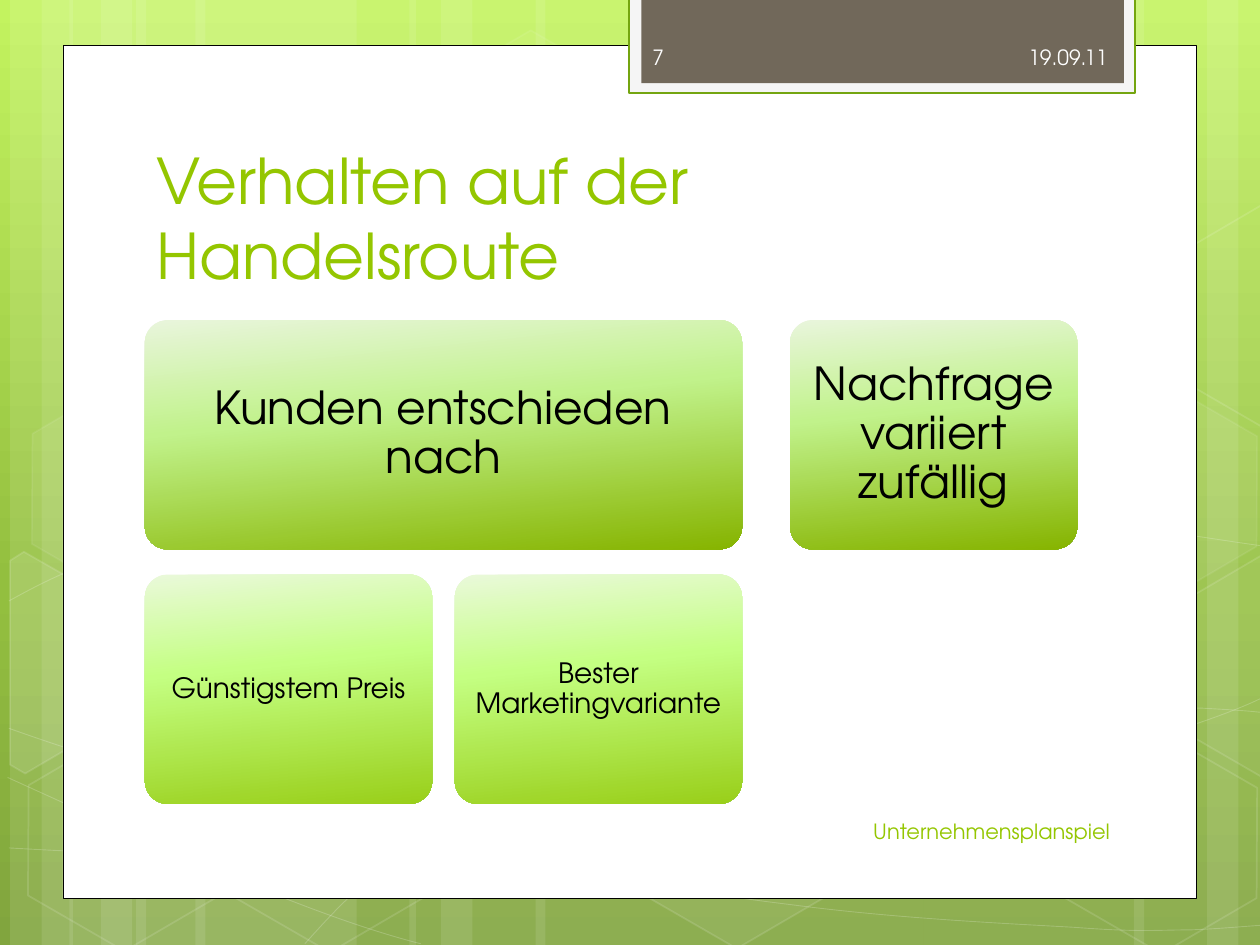
from lxml.etree import SubElement
from pptx import Presentation
from pptx.dml.color import RGBColor
from pptx.enum.shapes import MSO_SHAPE
from pptx.enum.text import MSO_ANCHOR, PP_ALIGN
from pptx.oxml.ns import qn
from pptx.util import Inches, Pt

FONT = "TeX Gyre Adventor"
COLORS = {
    "white": "FFFFFF", "black": "000000", "green": "94C600", "tab_rim": "F5F5F5",
    "tab_line": "74A510", "tab": "71685A", "tab_text": "FEFEFE",
}
GRADIENTS = {
    "background": [(0, "C3F35F"), (62, "93BF3F"), (100, "81A53E")],
    "main": [(0, "E9F5DC"), (40, "C1F28B"), (100, "86B400")],
    "sub": [(0, "EAF9DA"), (40, "C4FF82"), (100, "99CF1A")],
}
# left, width
STRIPES = [
    (1.08, 1.75), (0.08, 0.5), (0.33, 0.83), (1.55, 1.75), (0.55, 0.5), (0.8, 0.83),
    (7.33, 1.75), (9.58, 0.5), (9, 0.83), (4.25, 3.08), (3.25, 0.5), (3.5, 0.83),
]
# start point, then Bézier segments of two control points and an end point
CURVES = [
    [(0.07, 6.73), (0.61, 6.76), (1.15, 6.79), (1.9, 6.78), (2.65, 6.77), (3.58, 6.75),
     (4.58, 6.65), (5.58, 6.55), (7, 6.36), (7.92, 6.17), (8.83, 5.98), (9.77, 5.68),
     (10.07, 5.51)],
    [(0.07, 4.77), (0.36, 4.61), (0.65, 4.46), (1.21, 4.31), (1.78, 4.16), (2.59, 3.94),
     (3.47, 3.87), (4.36, 3.8), (5.44, 3.79), (6.54, 3.87), (7.64, 3.95), (9.47, 4.26),
     (10.07, 4.34)],
    [(0.06, 6.17), (1.27, 6.72), (2.47, 7.27), (3.34, 7.49)],
    [(0.07, 5.78), (0.38, 5.89), (0.7, 6), (1.28, 6.16), (1.86, 6.31), (2.73, 6.56),
     (3.57, 6.73), (4.4, 6.9), (5.45, 7.08), (6.28, 7.18), (7.11, 7.29), (8, 7.33),
     (8.53, 7.36), (9.05, 7.4), (9.19, 7.38), (9.45, 7.38), (9.71, 7.37), (9.89, 7.35),
     (10.07, 7.34)],
    [(2.42, 7.49), (2.6, 7.29), (2.78, 7.09), (3.02, 6.91), (3.26, 6.73), (3.6, 6.53),
     (3.88, 6.39), (4.16, 6.25), (4.33, 6.19), (4.7, 6.09), (5.06, 5.99), (5.73, 5.85),
     (6.08, 5.78), (6.44, 5.71), (6.49, 5.71), (6.8, 5.69), (7.11, 5.66), (7.6, 5.63),
     (7.94, 5.62), (8.29, 5.61), (8.86, 5.62), (8.86, 5.62), (9.08, 5.62), (9.31, 5.62),
     (9.53, 5.62), (9.71, 5.63), (9.88, 5.64), (9.97, 5.65), (10.06, 5.66), (10.03, 5.65),
     (10.06, 5.66)],
]
# left, top, fill opacity, line opacity
HEXAGONS = [
    (3.34, 0.36, 4, 8), (4.97, 5.89, 6, 12), (0.11, 5.91, 0, 12), (0.14, 3.12, 7, 8),
    (1.74, 5.92, 0, 12), (7.53, 4.53, 10, 12), (8.34, 5.93, 0, 12), (8.34, 3.14, 7, 8),
]
# points, fill opacity
CUT_HEXAGONS = [
    ([(0.08, 4.45), (0.19, 4.38), (0.96, 4.82), (0.95, 5.7), (0.2, 6.14), (0.08, 6.07)], 10),
    ([(9.26, 4.85), (10.01, 4.41), (10.09, 4.46), (10.09, 6.13), (10.02, 6.17),
      (9.26, 5.73)], 4),
    ([(9.26, 2.07), (10.01, 1.63), (10.1, 1.68), (10.09, 3.35), (10.02, 3.39),
      (9.26, 2.95)], 0),
]


def rgb(name):
    return RGBColor.from_string(COLORS[name])


def set_opacity(element, percent):
    color = element.find(f"{qn('a:solidFill')}/{qn('a:srgbClr')}")
    SubElement(color, qn("a:alpha"), val=str(percent * 1000))


def set_gradient(fill, element, stops, angle):
    """Fill with any number of colour stops; angle runs clockwise."""
    fill.gradient()
    fill.gradient_angle = 360 - angle
    stop_list = next(element.iter(qn("a:gsLst")))
    stop_list.clear()
    for position, color in stops:
        stop = SubElement(stop_list, qn("a:gs"), pos=str(position * 1000))
        SubElement(stop, qn("a:srgbClr"), val=color)


def style(sp, fill="white", opacity=100, line=None, width=1, line_opacity=100):
    sp.shadow.inherit = False
    if fill and opacity:
        sp.fill.solid()
        sp.fill.fore_color.rgb = rgb(fill)
        if opacity < 100:
            set_opacity(sp.element.spPr, opacity)
    else:
        sp.fill.background()
    if line:
        sp.line.color.rgb = rgb(line)
        sp.line.width = Pt(width)
        if line_opacity < 100:
            set_opacity(sp.element.spPr.find(qn("a:ln")), line_opacity)
    else:
        sp.line.fill.background()


def add_shape(s, kind, box, **look):
    sp = s.shapes.add_shape(kind, *map(Inches, box))
    style(sp, **look)
    return sp


def add_outline(s, points, close, **look):
    points = [(Inches(x), Inches(y)) for x, y in points]
    builder = s.shapes.build_freeform(*points[0])
    builder.add_line_segments(points[1:], close=close)
    sp = builder.convert_to_shape()
    style(sp, **look)
    return sp


def add_curve(s, points):
    """Draw the points as an outline, then join each three into a Bézier segment."""
    sp = add_outline(s, points, False, fill=None, line="white", width=0.5, line_opacity=20)
    outline = next(sp.element.iter(qn("a:moveTo"))).getparent()
    segments = outline.findall(qn("a:lnTo"))
    for i in range(0, len(segments), 3):
        bezier = SubElement(outline, qn("a:cubicBezTo"))
        for segment in segments[i:i + 3]:
            bezier.append(segment[0])
            outline.remove(segment)


def set_text(sp, text, size, color, align=PP_ALIGN.LEFT, anchor=MSO_ANCHOR.MIDDLE,
             spacing=None, inset=None):
    tf = sp.text_frame
    frame_format = {"word_wrap": True, "vertical_anchor": anchor}
    if inset:
        sides = ("left", "top", "right", "bottom")
        frame_format.update({f"margin_{side}": Inches(inset) for side in sides})
    for name, value in frame_format.items():
        setattr(tf, name, value)
    p = tf.paragraphs[0]
    p.alignment, p.line_spacing = align, spacing
    r = p.add_run()
    r.text = text
    for name, value in {"name": FONT, "size": Pt(size)}.items():
        setattr(r.font, name, value)
    r.font.color.rgb = rgb(color)


def add_backdrop(s, height):
    set_gradient(s.background.fill, s.element, GRADIENTS["background"], 90)
    for left, width in STRIPES:
        add_shape(s, MSO_SHAPE.RECTANGLE, (left, 0, width, height), opacity=10)
    for curve in CURVES:
        add_curve(s, curve)
    for left, top, opacity, line_opacity in HEXAGONS:
        sp = add_shape(s, MSO_SHAPE.HEXAGON, (left, top, 1.75, 1.52), opacity=opacity,
                       line="white", line_opacity=line_opacity)
        sp.adjustments[0] = 0.285
        sp.rotation = 30
    for points, opacity in CUT_HEXAGONS:
        add_outline(s, points, True, opacity=opacity, line="white", line_opacity=12)


def add_page(s, box):
    add_shape(s, MSO_SHAPE.RECTANGLE, box, line="black", width=0.5)


def add_tab(s, box):
    left, top, width, height = box
    add_shape(s, MSO_SHAPE.RECTANGLE, box, fill="tab_rim", line="tab_line", width=1.25)
    add_shape(s, MSO_SHAPE.RECTANGLE, (left + 0.1, top, width - 0.19, height - 0.08), fill="tab")


def place_title(s, box, text):
    title = s.shapes.title
    title.element.getparent().append(title.element)
    for name, value in zip(("left", "top", "width", "height"), box):
        setattr(title, name, Inches(value))
    set_text(title, text, 36, "green", anchor=MSO_ANCHOR.BOTTOM)


def add_card(s, box, text, kind, size, inset):
    sp = add_shape(s, MSO_SHAPE.ROUNDED_RECTANGLE, box)
    sp.adjustments[0] = 0.1
    set_gradient(sp.fill, sp.element, GRADIENTS[kind], 84)
    set_text(sp, text, size, "black", PP_ALIGN.CENTER, spacing=0.9, inset=inset)


def add_hierarchy(s, box):
    """Two main cards side by side, with two sub cards under the first."""
    left, top, width, height = box
    card_w, card_h, gap, branch_gap = 2.28, 1.82, 0.18, 0.38
    wide = width - card_w - branch_gap
    low = top + height - card_h
    main, sub = ("main", 26, 0.11), ("sub", 16, 0.07)
    add_card(s, (left, top, wide, card_h), "Kunden entschieden nach", *main)
    for i, text in enumerate(("Günstigstem Preis", "Bester Marketingvariante")):
        add_card(s, (left + i * (card_w + gap), low, card_w, card_h), text, *sub)
    add_card(s, (left + width - card_w, top, card_w, card_h),
             "Nachfrage variiert zufällig", *main)


def add_label(s, box, text, color, align):
    set_text(s.shapes.add_textbox(*map(Inches, box)), text, 12, color, align)


def main():
    prs = Presentation()
    prs.slide_width, prs.slide_height = Inches(10), Inches(7.5)
    s = prs.slides.add_slide(prs.slide_layouts[5])
    add_backdrop(s, 7.5)
    add_page(s, (0.5, 0.36, 9, 6.77))
    add_tab(s, (4.99, -0.02, 4.02, 0.76))
    place_title(s, (1.14, 1.12, 7.68, 1.25), "Verhalten auf der Handelsroute")
    add_hierarchy(s, (1.15, 2.54, 7.4, 3.84))
    add_label(s, (5.08, 6.4, 3.83, 0.4), "Unternehmensplanspiel", "green", PP_ALIGN.RIGHT)
    add_label(s, (5.08, 0.25, 1.46, 0.4), "7", "tab_text", PP_ALIGN.LEFT)
    add_label(s, (6.56, 0.25, 2.33, 0.4), "19.09.11", "tab_text", PP_ALIGN.RIGHT)
    prs.save("out.pptx")


if __name__ == "__main__":
    main()
